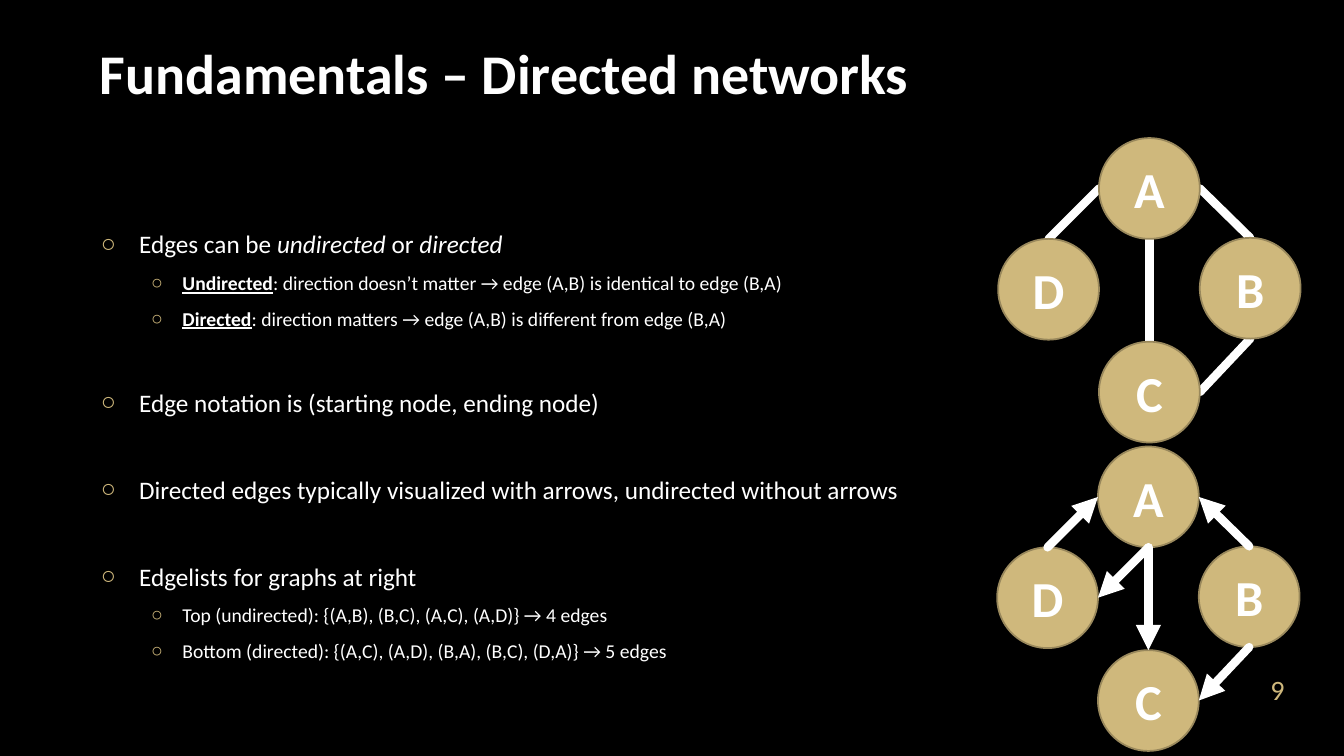
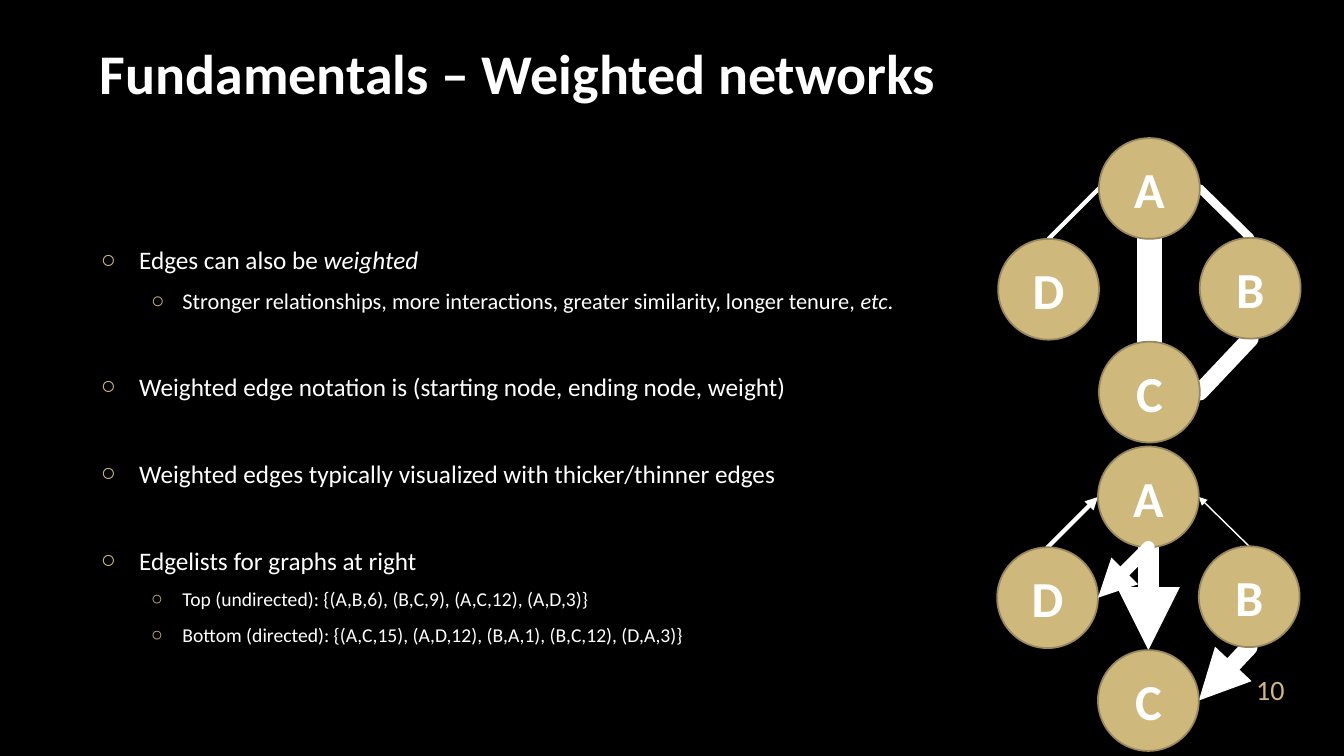
from lxml import etree
from pptx import Presentation
from pptx.dml.color import RGBColor
from pptx.enum import shapes, text
from pptx.oxml import ns
from pptx.util import Inches, Pt

FONT = "Calibri"
HUES = {"back": "000000", "title": "FEFEFE", "text": "FFFFFF",
        "gold": "CFB87C", "rim": "99885C"}

# Graph layout: node corners, and points on a node's rim
SIZE = 1
NODES = {"D": (0, 1), "B": (2, 0.99), "C": (1, 2.02), "A": (1, 0)}
SIDES = {"top": (0.5, 0), "left": (0, 0.5), "low": (0.5, 1), "right": (1, 0.5)}
TOP, LOW = (9.9, 1.37), (9.89, 4.43)


def hue(name):
    return RGBColor.from_string(HUES[name])


def child(node, tag, **attrs):
    return etree.SubElement(node, ns.qn(tag), attrs)


def add_run(para, words, size, color="text", style=""):
    """Style letters: b bold, i italic, u underline."""
    run = para.add_run()
    run.text = words
    font = run.font
    font.name, font.size = FONT, Pt(size)
    font.color.rgb = hue(color)
    font.bold = "b" in style
    font.italic = "i" in style
    font.underline = "u" in style


def place(shape, box):
    shape.left, shape.top, shape.width, shape.height = map(Inches, box)


def add_title(slide, words, box):
    title = slide.shapes.title
    place(title, box)
    frame = title.text_frame
    frame.auto_size = text.MSO_AUTO_SIZE.NONE
    frame.vertical_anchor = text.MSO_ANCHOR.BOTTOM
    frame.margin_bottom = Inches(0.02)
    para = frame.paragraphs[0]
    para.alignment = text.PP_ALIGN.LEFT
    add_run(para, words, 40, "title", "b")


def add_list(slide, items, box):
    """Items are (level, size, runs); each main point opens a new block."""
    body = slide.placeholders[1]
    place(body, box)
    frame = body.text_frame
    frame.auto_size = text.MSO_AUTO_SIZE.NONE
    frame.vertical_anchor = text.MSO_ANCHOR.MIDDLE
    for num, (level, size, runs) in enumerate(items):
        para = frame.add_paragraph() if num else frame.paragraphs[0]
        para.level = level
        gap = 0.19 * size if level else 34.5
        para.space_before = Pt(gap if num else 0)
        para.space_after = Pt(6)
        # Indent and bullet
        left, hang = ((0.38, 0.38), (0.81, 0.31))[level]
        props = para._p.get_or_add_pPr()
        props.set("marL", str(Inches(left)))
        props.set("indent", str(-Inches(hang)))
        child(child(props, "a:buClr"), "a:srgbClr", val=HUES["gold"])
        child(props, "a:buChar", char="○")
        for words, style in runs:
            add_run(para, words, size, style=style)


def add_page(slide, num, box):
    label = slide.shapes.add_textbox(*map(Inches, box))
    frame = label.text_frame
    frame.word_wrap = True
    frame.vertical_anchor = text.MSO_ANCHOR.BOTTOM
    frame.margin_bottom = Inches(0.01)
    para = frame.paragraphs[0]
    para.alignment = text.PP_ALIGN.RIGHT
    add_run(para, str(num), 20, "gold")


def add_node(slide, name, start):
    x, y = NODES[name]
    spot = (start[0] + x, start[1] + y, SIZE, SIZE)
    node = slide.shapes.add_shape(shapes.MSO_SHAPE.OVAL, *map(Inches, spot))
    node.shadow.inherit = False
    node.fill.solid()
    node.fill.fore_color.rgb = hue("gold")
    node.line.color.rgb = hue("rim")
    node.line.width = Pt(1.25)
    frame = node.text_frame
    frame.vertical_anchor = text.MSO_ANCHOR.MIDDLE
    para = frame.paragraphs[0]
    para.alignment = text.PP_ALIGN.CENTER
    add_run(para, name, 36, style="b")


def add_edge(slide, edge, width, start, arrow):
    ends = []
    for name, side in edge:
        ends += [Inches(s + n + d * SIZE)
                 for s, n, d in zip(start, NODES[name], SIDES[side])]
    line = slide.shapes.add_connector(shapes.MSO_CONNECTOR.STRAIGHT, *ends)
    line.line.color.rgb = hue("text")
    line.line.width = Pt(width)
    props = line.line._get_or_add_ln()
    props.set("cap", "rnd")
    if arrow:
        child(props, "a:tailEnd", type="triangle")
    child(line._element.spPr, "a:effectLst")


# Edges as (from, to), each end a node and a side
BA = (("B", "top"), ("A", "right"))
DA = (("D", "top"), ("A", "left"))
AC = (("A", "low"), ("C", "top"))
BC = (("B", "low"), ("C", "right"))
AD = (("A", "low"), ("D", "right"))


def add_graph(slide, start, under=(), over=(), arrow=False):
    """Draws edges under the nodes, the nodes, then edges over them."""
    for edge, width in under:
        add_edge(slide, edge, width, start, arrow)
    for name in NODES:
        add_node(slide, name, start)
    for edge, width in over:
        add_edge(slide, edge, width, start, arrow)


def add_slide(deck, num, title, items, plain, under, over):
    slide = deck.slides.add_slide(deck.slide_layouts[1])
    add_title(slide, title, (0.89, 0.01, 11.56, 1.06))
    add_list(slide, items, (0.9, 2.43, 9, 3.98))
    add_page(slide, num, (11.68, 6.47, 1.16, 0.54))
    add_graph(slide, TOP, under=plain)
    add_graph(slide, LOW, under, over, arrow=True)


def main():
    deck = Presentation()
    deck.slide_width, deck.slide_height = Inches(13.33), Inches(7.5)
    fill = deck.slide_master.background.fill
    fill.solid()
    fill.fore_color.rgb = hue("back")

    add_slide(
        deck, 9, "Fundamentals – Directed networks",
        [(0, 18, [("Edges can be ", ""), ("undirected", "i"),
                  (" or ", ""), ("directed", "i")]),
         (1, 14, [("Undirected", "bu"),
                  (": direction doesn’t matter → edge (A,B) is identical to edge (B,A)", "")]),
         (1, 14, [("Directed", "bu"),
                  (": direction matters → edge (A,B) is different from edge (B,A)", "")]),
         (0, 18, [("Edge notation is (starting node, ending node)", "")]),
         (0, 18, [("Directed edges typically visualized with arrows, "
                   "undirected without arrows", "")]),
         (0, 18, [("Edgelists for graphs at right", "")]),
         (1, 14, [("Top (undirected): {(A,B), (B,C), (A,C), (A,D)} → 4 edges", "")]),
         (1, 14, [("Bottom (directed): {(A,C), (A,D), (B,A), (B,C), (D,A)} → 5 edges", "")])],
        plain=[(edge, 6) for edge in (BA, DA, AC, BC)],
        under=[],
        over=[(edge, 6) for edge in (BA, DA, AC, BC, AD)])

    add_slide(
        deck, 10, "Fundamentals – Weighted networks",
        [(0, 18, [("Edges can also be ", ""), ("weighted", "i")]),
         (1, 16, [("Stronger relationships, more interactions, greater similarity, "
                   "longer tenure, ", ""), ("etc", "i"), (".", "")]),
         (0, 18, [("Weighted edge notation is (starting node, ending node, weight)", "")]),
         (0, 18, [("Weighted edges typically visualized with thicker/thinner edges", "")]),
         (0, 18, [("Edgelists for graphs at right", "")]),
         (1, 14, [("Top (undirected): {(A,B,6), (B,C,9), (A,C,12), (A,D,3)}", "")]),
         (1, 14, [("Bottom (directed): {(A,C,15), (A,D,12), (B,A,1), (B,C,12), (D,A,3)}", "")])],
        plain=[(BA, 6), (DA, 3), (AC, 18), (BC, 12)],
        under=[(BA, 1), (DA, 3), (AC, 15), (BC, 12)],
        over=[(AD, 9)])

    deck.save("out.pptx")


if __name__ == "__main__":
    main()
